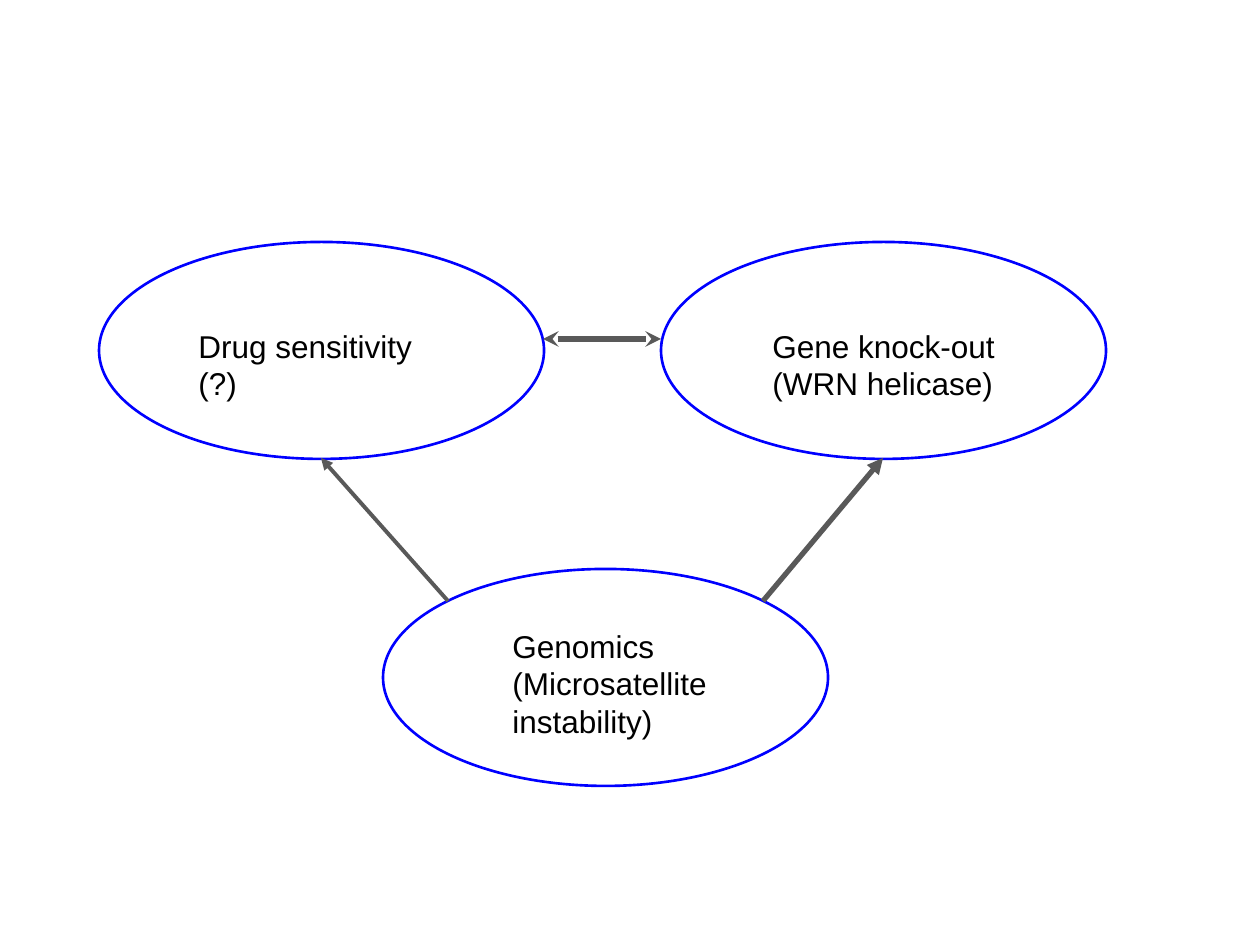
from dataclasses import dataclass

from lxml.etree import SubElement
from pptx import Presentation
from pptx.dml.color import RGBColor
from pptx.enum.shapes import MSO_CONNECTOR, MSO_SHAPE
from pptx.enum.text import MSO_ANCHOR, MSO_AUTO_SIZE, PP_ALIGN
from pptx.oxml.ns import qn
from pptx.util import Inches, Pt

PX = Inches(1) / 126


def px(*values):
    """Turn pixel lengths into EMU."""
    return [round(v * PX) for v in values]


@dataclass(frozen=True)
class Theme:
    """Colours, font and sizes of the diagram."""
    outline: RGBColor = RGBColor(0, 0, 255)
    arrow: RGBColor = RGBColor(0x59, 0x59, 0x59)
    text: RGBColor = RGBColor(0, 0, 0)
    font: str = "Arial"
    size: int = 18
    outline_width: float = 1.5
    inset: float = 0.1


class Diagram:
    """Draws styled elements on the current slide."""

    def __init__(self, s, theme):
        """Keep the slide and the theme."""
        self.s, self.theme = s, theme

    def ellipse(self, left, top, width, height):
        """Add an outlined, unfilled ellipse."""
        sp = self.s.shapes.add_shape(MSO_SHAPE.OVAL, *px(left, top, width, height))
        sp.shadow.inherit = False
        sp.fill.background()
        sp.line.color.rgb = self.theme.outline
        sp.line.width = Pt(self.theme.outline_width)

    def label(self, left, top, width, height, lines):
        """Add a text box with one paragraph per line."""
        sp = self.s.shapes.add_textbox(*px(left, top, width, height))
        tf = sp.text_frame
        inset = Inches(self.theme.inset)
        frame = dict(word_wrap=True, auto_size=MSO_AUTO_SIZE.SHAPE_TO_FIT_TEXT,
                     vertical_anchor=MSO_ANCHOR.TOP, margin_left=inset,
                     margin_top=inset, margin_right=inset, margin_bottom=inset)
        for name, value in frame.items():
            setattr(tf, name, value)
        font = dict(name=self.theme.font, size=Pt(self.theme.size))
        for i, line in enumerate(lines):
            p = tf.add_paragraph() if i else tf.paragraphs[0]
            p.alignment = PP_ALIGN.LEFT
            r = p.add_run()
            r.text = line
            for name, value in font.items():
                setattr(r.font, name, value)
            r.font.color.rgb = self.theme.text

    def arrow(self, start, end, width, **ends):
        """Add a straight line with the given headEnd and tailEnd types."""
        sp = self.s.shapes.add_connector(MSO_CONNECTOR.STRAIGHT, *px(*start, *end))
        sp.line.color.rgb = self.theme.arrow
        sp.line.width = Pt(width)
        ln = sp.line._get_or_add_ln()
        for name, kind in ends.items():
            SubElement(ln, qn(f"a:{name}"), type=kind)
        SubElement(sp._element.spPr, qn("a:effectLst"))


def main():
    """Build the three-node evidence diagram."""
    prs = Presentation()
    prs.slide_width, prs.slide_height = Inches(10), Inches(7.5)
    d = Diagram(prs.slides.add_slide(prs.slide_layouts[6]), Theme())

    nodes = [
        ((661, 242), (760, 314, 258, 102), ["Gene knock-out (WRN helicase)"]),
        ((383, 569), (500, 614, 223, 140), ["Genomics", "(Microsatellite instability)"]),
        ((99, 242), (186, 314, 251, 102), ["Drug sensitivity", "(?)"]),
    ]
    for corner, box, lines in nodes:
        d.ellipse(*corner, 445, 217)
        d.label(*box, lines)

    d.arrow((448, 601), (321, 458), 2.25, tailEnd="triangle")
    d.arrow((763, 601), (883, 458), 3, tailEnd="triangle")
    d.arrow((543, 339), (661, 339), 3, headEnd="stealth", tailEnd="stealth")

    prs.save("out.pptx")


if __name__ == "__main__":
    main()
